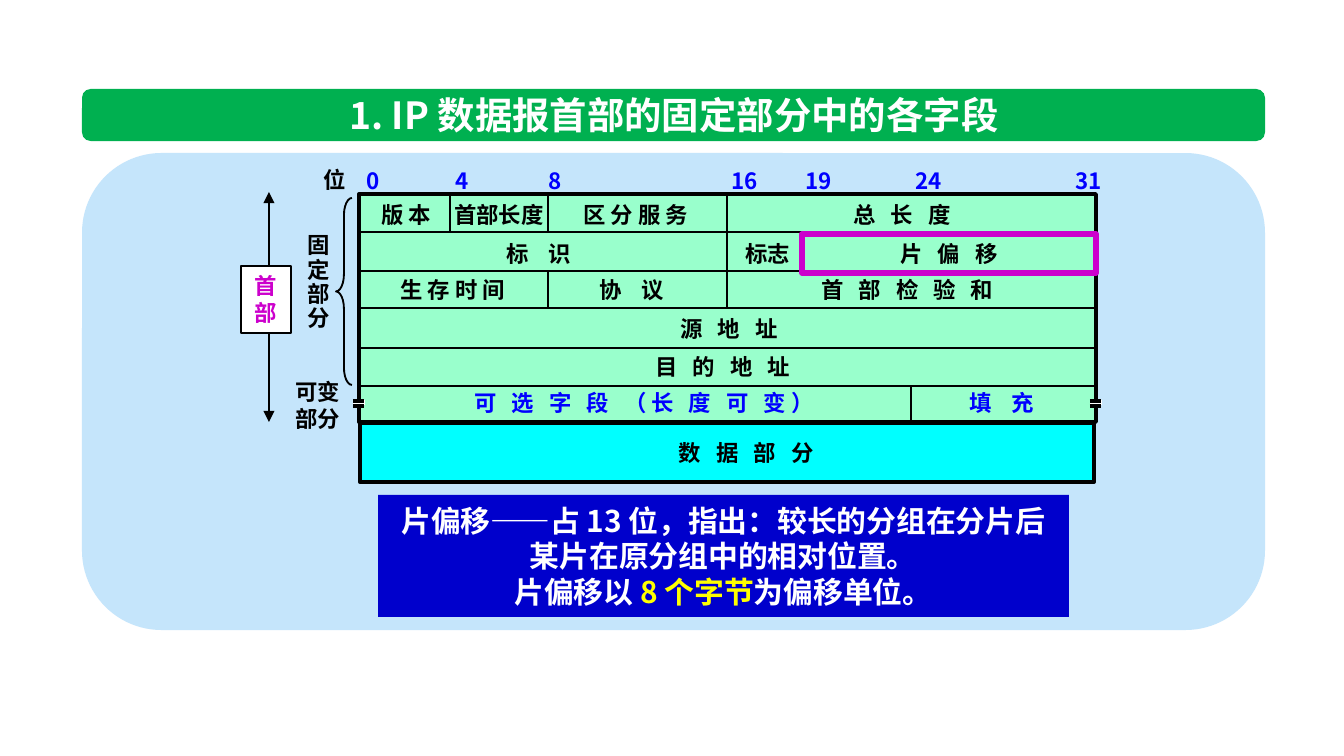
from pptx import Presentation
from pptx.dml.color import RGBColor
from pptx.enum.shapes import MSO_CONNECTOR, MSO_SHAPE
from pptx.enum.text import MSO_ANCHOR, MSO_AUTO_SIZE, PP_ALIGN
from pptx.oxml.ns import qn
from pptx.util import Emu, Pt
from lxml import etree

RECT, ROUNDED, BRACE = MSO_SHAPE.RECTANGLE, MSO_SHAPE.ROUNDED_RECTANGLE, MSO_SHAPE.LEFT_BRACE
STRAIGHT = MSO_CONNECTOR.STRAIGHT
LEFT, CENTER = PP_ALIGN.LEFT, PP_ALIGN.CENTER
MIDDLE, GROW = MSO_ANCHOR.MIDDLE, MSO_AUTO_SIZE.SHAPE_TO_FIT_TEXT

FONT = "Noto Sans CJK SC"
EMU_PER_PX = 914400 / 134.4
COLORS = {
    "white": "FFFFFF", "black": "000000", "green": "00B050", "panel": "C5E5FB",
    "mint": "99FFCC", "cyan": "00FFFF", "blue": "0000FF", "navy": "0000CC",
    "magenta": "CC00CC", "yellow": "FFFF00",
}

# Header fields: left, width, text, letter spacing in points
FIELD_ROWS = [
    (1, "black", [(9, 79, "版 本", 0), (82, 117, "首部长度", 0),
                  (211, 138, "区 分 服 务", 0), (481, 136, "总 长 度", 2.7)]),
    (40, "black", [(134, 99, "标 识", 4), (373, 73, "标志", 0), (528, 136, "片 偏 移", 2.7)]),
    (76, "black", [(28, 138, "生 存 时 间", 0), (227, 99, "协 议", 4),
                   (449, 222, "首 部 检 验 和", 2.7)]),
    (115, "black", [(308, 136, "源 地 址", 2.7)]),
    (153, "black", [(283, 179, "目 的 地 址", 2.7)]),
    (189, "blue", [(102, 390, "可 选 字 段 （长 度 可 变）", 2.7), (597, 99, "填 充", 4)]),
]
BIT_LABELS = [("0", -6), ("4", 83), ("8", 176), ("16", 359), ("19", 433), ("24", 543), ("31", 703)]
# Column dividers: x, first row line, last row line
DIVIDERS = [(91, 0, 1), (189, 0, 1), (189, 2, 3), (368, 0, 3), (552, 5, 6), (442, 1, 2)]


def px(length):
    return Emu(round(length * EMU_PER_PX))


def rgb(name):
    return RGBColor.from_string(COLORS[name])


def add_box(page, kind, box, fill=None, line=None, weight=1):
    shape = page.shapes.add_shape(kind, *map(px, box))
    shape.shadow.inherit = False
    if fill:
        shape.fill.solid()
        shape.fill.fore_color.rgb = rgb(fill)
    else:
        shape.fill.background()
    if line:
        shape.line.color.rgb = rgb(line)
        shape.line.width = Pt(weight)
    else:
        shape.line.fill.background()
    return shape


def add_line(page, x1, y1, x2, y2, weight=1):
    line = page.shapes.add_connector(STRAIGHT, *map(px, (x1, y1, x2, y2)))
    line.line.color.rgb = rgb("black")
    line.line.width = Pt(weight)
    etree.SubElement(line._element.spPr, qn("a:effectLst"))
    return line


def style_span(span, color, size, gap=0):
    span.font.name, span.font.size, span.font.bold = FONT, Pt(size), True
    span.font.color.rgb = rgb(color)
    properties = span.font._element if hasattr(span.font, "_element") else span._r.get_or_add_rPr()
    etree.SubElement(properties, qn("a:ea")).set("typeface", FONT)
    if gap:
        properties.set("spc", str(round(gap * 100)))


def put_text(shape, text, color, size=12, align=LEFT, gap=0, spacing=None, wrap=False):
    frame = shape.text_frame
    frame.text = text
    frame.word_wrap = wrap
    frame.auto_size = GROW
    for para in frame.paragraphs:
        para.alignment = align
        if spacing:
            para.line_spacing = spacing
        for span in para.runs:
            style_span(span, color, size, gap)
    return frame


def add_label(page, box, text, color="black", **style):
    return put_text(page.shapes.add_textbox(*map(px, box)), text, color, **style)


def title_bar(page, box):
    left, top, width, height = box
    add_box(page, ROUNDED, box, "green")
    frame = add_label(page, (left + 237, top - 4, 710, 59),
                      "1. IP 数据报首部的固定部分中的各字段", "white", size=20, align=CENTER)
    frame.vertical_anchor = MIDDLE


def break_mark(page, left, top):
    add_box(page, RECT, (left, top, 12, 5), "white")
    for y in (top + 1, top + 6):
        add_line(page, left, y, left + 11, y, 2)


def header_table(page, box):
    left, top, width, height = box
    table = add_box(page, RECT, box, "mint", "black", 2)
    row_lines = [round(top + 38.4 * row) for row in range(6)] + [top + height]

    # Data part below the header
    add_box(page, RECT, (left + 1, top + 229, width - 3, 59), "cyan", "black", 2.25)

    # Row lines and column dividers
    for row, y in enumerate(row_lines[1:-1], 1):
        line = add_line(page, left, y, left + width, y)
        if row == 3:
            line.begin_connect(table, 1)
            line.end_connect(table, 3)
    for x, first, last in DIVIDERS:
        add_line(page, left + x, row_lines[first], left + x, row_lines[last])

    # Bit numbers and field names
    add_label(page, (left - 49, top - 34, 50, 40), "位")
    for text, x in BIT_LABELS:
        add_label(page, (left + x, top - 33, 26 + 14 * len(text), 40), text, "blue")
    for y, color, fields in FIELD_ROWS:
        for x, field_width, text, gap in fields:
            add_label(page, (left + x, top + y, field_width, 40), text, color, gap=gap)
    add_label(page, (left + 251, top + 239, 273, 40), "数 据 部 分",
              align=CENTER, gap=2.7, wrap=True)

    # Break marks on both sides of the variable row
    for x in (left - 6, left + width - 6):
        break_mark(page, x, top + 206)


def side_labels(page, box):
    left, top, width, height = box
    add_label(page, (left + 53, top + 36, 50, 112), "固\n定\n部\n分", spacing=0.9)
    add_label(page, (left + 41, top + 180, 73, 67), "可变\n部分")
    brace = add_box(page, BRACE, (left + 95, top + 6, 16, 187), line="black")
    brace.adjustments[0] = 1.08

    # Extent of the whole header
    extent = add_line(page, left + 28, top, left + 28, top + height)
    outline = extent.line._get_or_add_ln()
    for end in ("a:headEnd", "a:tailEnd"):
        etree.SubElement(outline, qn(end)).set("type", "triangle")
    header = add_box(page, RECT, (left, top + 74, 50, 67), "white", "black")
    put_text(header, "首\n部", "magenta")


def offset_note(page, box):
    note = add_box(page, RECT, box, "navy")
    frame = put_text(note, "片偏移——占 13 位，指出：较长的分组在分片后\n"
                     "某片在原分组中的相对位置。\n片偏移以 ", "white", size=16, align=CENTER)
    for text, color in (("8 个字节", "yellow"), ("为偏移单位。", "white")):
        span = frame.paragraphs[-1].add_run()
        span.text = text
        style_span(span, color, 16)


def main():
    deck = Presentation()
    deck.slide_width, deck.slide_height = px(1344), px(756)
    page = deck.slides.add_slide(deck.slide_layouts[6])

    title_bar(page, (82, 89, 1183, 52))
    add_box(page, ROUNDED, (82, 153, 1183, 477), "panel")
    header_table(page, (359, 194, 737, 228))
    side_labels(page, (241, 192, 111, 230))
    offset_note(page, (378, 495, 691, 122))

    # Frame around the fragment offset field
    add_box(page, RECT, (802, 234, 294, 39), line="magenta", weight=3)
    deck.save("out.pptx")


if __name__ == "__main__":
    main()
